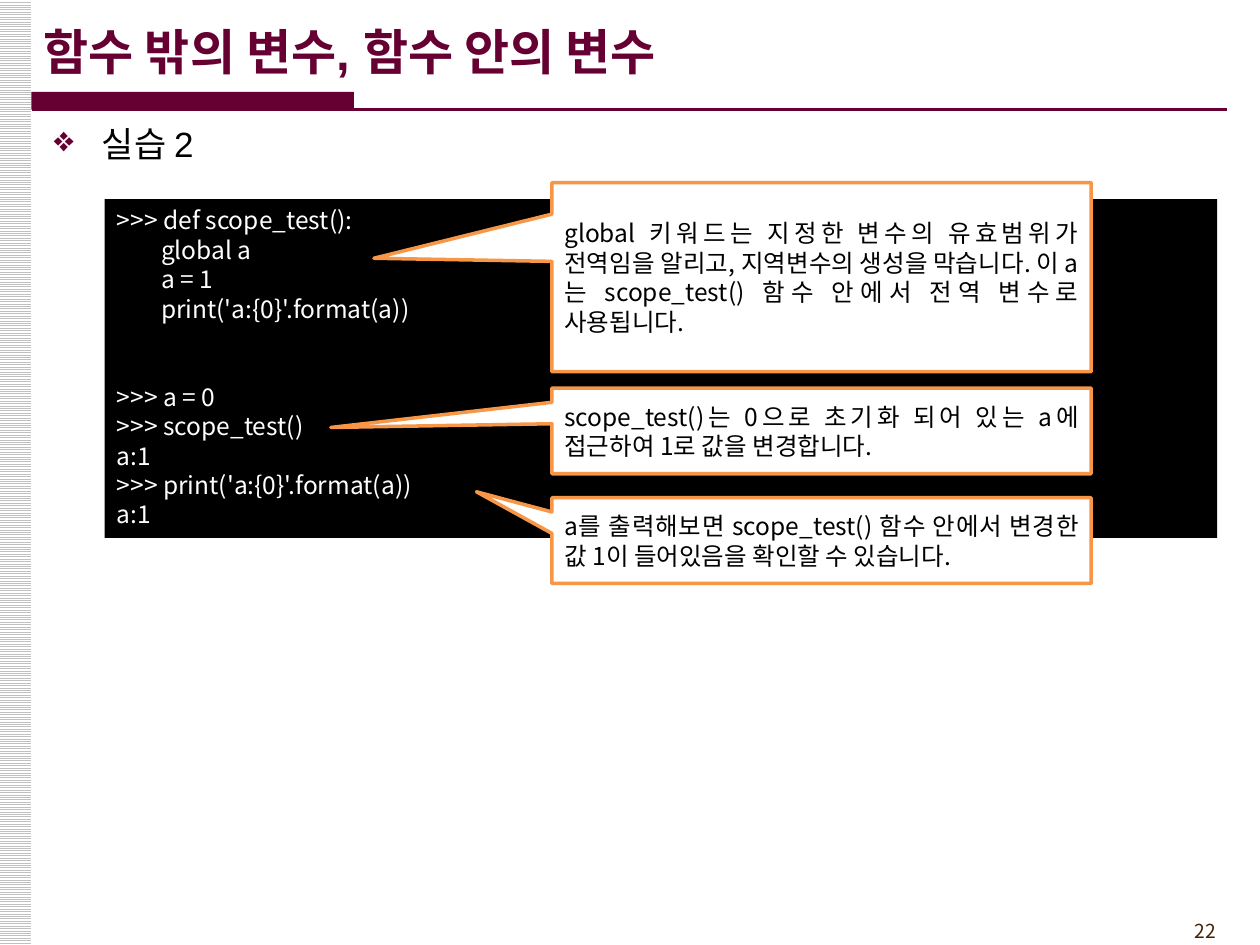
from dataclasses import dataclass

from lxml import etree
from pptx import Presentation
from pptx.dml.color import RGBColor
from pptx.enum.dml import MSO_PATTERN
from pptx.enum.shapes import MSO_CONNECTOR, MSO_SHAPE
from pptx.enum.text import MSO_ANCHOR, PP_ALIGN
from pptx.oxml.ns import qn
from pptx.util import Inches, Pt

RECTANGLE = MSO_SHAPE.RECTANGLE
CALLOUT = MSO_SHAPE.RECTANGULAR_CALLOUT
STRAIGHT = MSO_CONNECTOR.STRAIGHT
STRIPES = MSO_PATTERN.LIGHT_HORIZONTAL
TOP, MIDDLE = MSO_ANCHOR.TOP, MSO_ANCHOR.MIDDLE
LEFT, RIGHT, JUSTIFY = PP_ALIGN.LEFT, PP_ALIGN.RIGHT, PP_ALIGN.JUSTIFY


@dataclass(frozen=True)
class Theme:
    accent: RGBColor = RGBColor(0x66, 0x00, 0x33)
    callout_line: RGBColor = RGBColor(0xF7, 0x96, 0x46)
    stripe: RGBColor = RGBColor(0xC0, 0xC0, 0xC0)
    page: RGBColor = RGBColor(0x45, 0x21, 0x03)
    black: RGBColor = RGBColor(0x00, 0x00, 0x00)
    white: RGBColor = RGBColor(0xFF, 0xFF, 0xFF)
    heading_font: str = "Arial"
    body_font: str = "Noto Sans CJK KR"
    title_size: int = 28
    topic_size: int = 20
    text_size: int = 14
    page_size: int = 11
    line_pitch: float = 16.8


THEME = Theme()

CODE = [
    (0, ">>> def scope_test():"),
    (1, "global a"),
    (1, "a = 1"),
    (1, "print('a:{0}'.format(a))"),
    (0, ">>> a = 0"),
    (0, ">>> scope_test()"),
    (0, "a:1"),
    (0, ">>> print('a:{0}'.format(a))"),
    (0, "a:1"),
]
SECOND_BLOCK = 4

CALLOUTS = [
    (1.45, 1.5, (-0.83, -0.1),
     "global 키워드는 지정한 변수의 유효범위가 전역임을 알리고, 지역변수의 생성을 막습니다. "
     "이 a는 scope_test() 함수 안에서 전역 변수로 사용됩니다."),
    (3.08, 0.68, (-0.91, -0.04),
     "scope_test()는 0으로 초기화 되어 있는 a에 접근하여 1로 값을 변경합니다."),
    (3.95, 0.68, (-0.64, -0.57),
     "a를 출력해보면 scope_test() 함수 안에서 변경한 값 1이 들어있음을 확인할 수 있습니다."),
]


def style_paragraph(paragraph, size, color, font_name=THEME.body_font,
                    alignment=LEFT, bold=False):
    paragraph.alignment = alignment
    font = paragraph.font
    font.size, font.bold, font.name = Pt(size), bold, font_name
    font.color.rgb = color


def add_text(slide, box, text, size, color, anchor=TOP, **style):
    shape = slide.shapes.add_textbox(*map(Inches, box))
    frame = shape.text_frame
    frame.word_wrap = True
    frame.vertical_anchor = anchor
    paragraph = frame.paragraphs[0]
    paragraph.text = text
    style_paragraph(paragraph, size, color, **style)
    return paragraph


def add_block(slide, box, color, kind=RECTANGLE):
    shape = slide.shapes.add_shape(kind, *map(Inches, box))
    shape.shadow.inherit = False
    shape.fill.solid()
    shape.fill.fore_color.rgb = color
    shape.line.fill.background()
    return shape


def add_stripes(slide):
    fill = add_block(slide, (-0.01, 0, 0.26, 7.5), THEME.white).fill
    fill.patterned()
    fill.pattern = STRIPES
    fill.fore_color.rgb = THEME.stripe
    fill.back_color.rgb = THEME.white


def add_rule(slide):
    add_block(slide, (0.25, 0.73, 2.56, 0.14), THEME.accent)
    ends = map(Inches, (0.25, 0.87, 9.74, 0.87))
    rule = slide.shapes.add_connector(STRAIGHT, *ends)
    rule.line.color.rgb = THEME.accent
    rule.line.width = Pt(1.5)
    etree.SubElement(rule._element.spPr, qn("a:effectLst"))


def add_bullet(paragraph):
    properties = paragraph._p.get_or_add_pPr()
    properties.set("marL", str(Inches(0.38)))
    properties.set("indent", str(Inches(-0.38)))
    color = etree.Element(qn("a:buClr"))
    etree.SubElement(color, qn("a:srgbClr"), val=str(THEME.accent))
    mark = etree.Element(qn("a:buChar"), char="❖")
    properties.insert(0, color)
    properties.insert(1, mark)


def add_code(slide):
    frame = add_block(slide, (0.83, 1.58, 8.83, 2.69), THEME.black).text_frame
    frame.word_wrap = True
    frame.vertical_anchor = TOP
    for index, (level, text) in enumerate(CODE):
        paragraph = frame.add_paragraph() if index else frame.paragraphs[0]
        paragraph.text = text
        style_paragraph(paragraph, THEME.text_size, THEME.white, alignment=JUSTIFY)
        paragraph.line_spacing = Pt(THEME.line_pitch)
        paragraph._p.get_or_add_pPr().set("marL", str(Inches(0.35 * level)))
        if index == SECOND_BLOCK:
            paragraph.space_before = Pt(2 * THEME.line_pitch)


def add_callout(slide, top, height, tip, text):
    shape = add_block(slide, (4.38, top, 4.28, height), THEME.white, CALLOUT)
    shape.adjustments[0], shape.adjustments[1] = tip
    shape.line.color.rgb = THEME.callout_line
    shape.line.width = Pt(2)
    frame = shape.text_frame
    frame.word_wrap = True
    frame.vertical_anchor = MIDDLE
    frame.margin_top = frame.margin_bottom = 0
    paragraph = frame.paragraphs[0]
    paragraph.text = text
    style_paragraph(paragraph, THEME.text_size, THEME.black, alignment=JUSTIFY)
    paragraph.line_spacing = Pt(THEME.line_pitch)


def main():
    presentation = Presentation()
    presentation.slide_width, presentation.slide_height = Inches(10), Inches(7.5)
    slide = presentation.slides.add_slide(presentation.slide_layouts[6])
    add_stripes(slide)
    add_text(slide, (8.92, 7.25, 0.83, 0.29), "22", THEME.page_size, THEME.page,
             alignment=RIGHT)
    add_rule(slide)
    topic = add_text(slide, (0.33, 0.92, 9.5, 6.25), "실습 2", THEME.topic_size,
                     THEME.black, font_name=THEME.heading_font)
    add_bullet(topic)
    add_text(slide, (0.25, 0.09, 8.27, 0.63), "함수 밖의 변수, 함수 안의 변수",
             THEME.title_size, THEME.accent, anchor=MIDDLE,
             font_name=THEME.heading_font, bold=True)
    add_code(slide)
    for callout in CALLOUTS:
        add_callout(slide, *callout)
    presentation.save("out.pptx")


if __name__ == "__main__":
    main()
